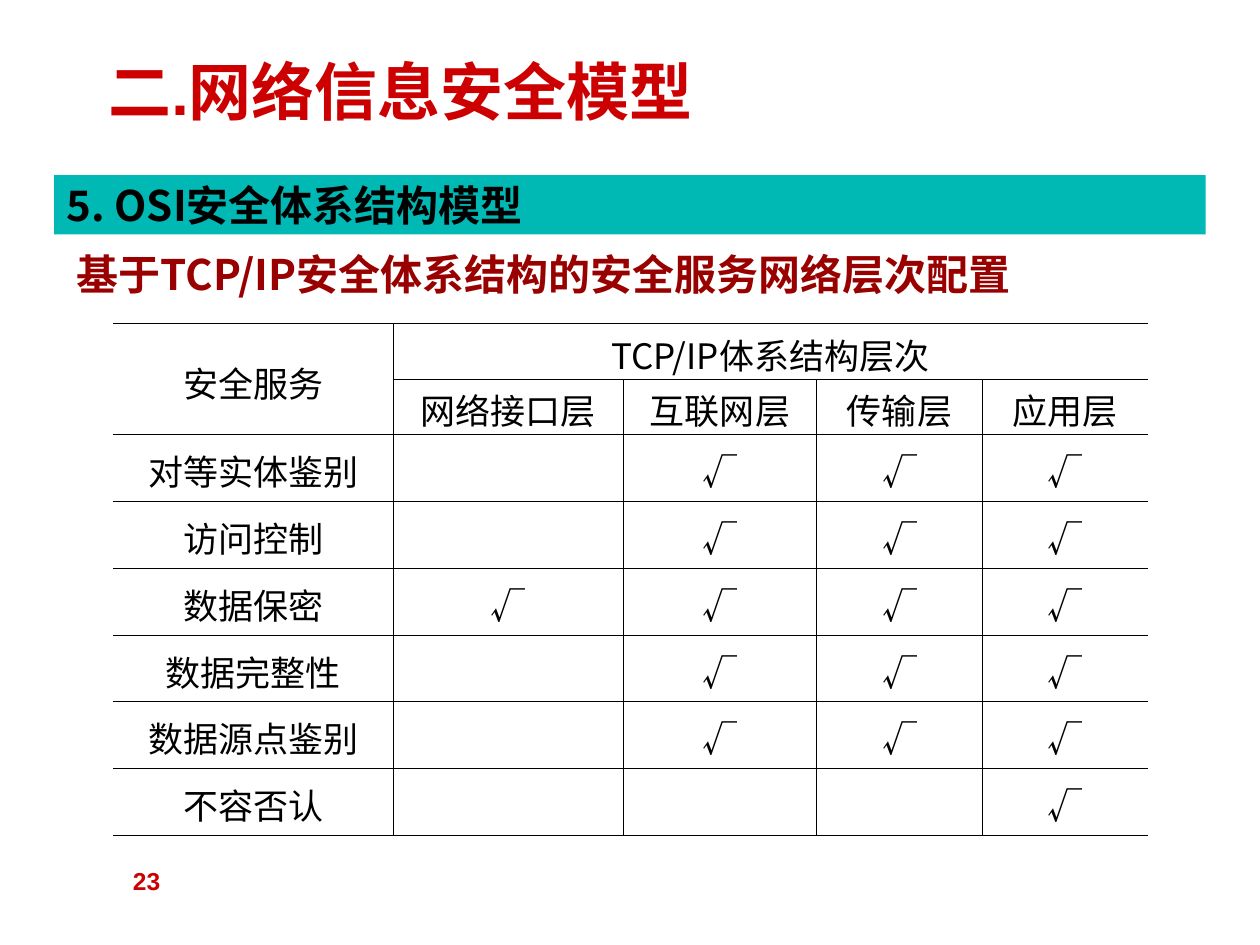
from dataclasses import dataclass

from lxml import etree
from pptx import Presentation
from pptx.dml.color import RGBColor
from pptx.enum.shapes import MSO_SHAPE
from pptx.enum.text import MSO_ANCHOR, PP_ALIGN
from pptx.oxml.ns import qn
from pptx.util import Inches, Pt

RECTANGLE = MSO_SHAPE.RECTANGLE
TOP, MIDDLE = MSO_ANCHOR.TOP, MSO_ANCHOR.MIDDLE
LEFT, CENTER, RIGHT = PP_ALIGN.LEFT, PP_ALIGN.CENTER, PP_ALIGN.RIGHT


@dataclass(frozen=True)
class Theme:
    red: str = "CC0000"
    dark_red: str = "990000"
    teal: str = "00B8B4"
    black: str = "000000"
    sans: str = "Arial"
    serif: str = "Times New Roman"
    chinese: str = "Noto Sans CJK SC"
    title_size: int = 36
    heading_size: int = 24
    table_size: int = 20
    number_size: int = 14
    border_width: float = 0.45


def write_text(frame, text, *, size, color, font, east_asian, bold=False, align=LEFT):
    """Fill the first paragraph; text is a string or a list of (text, font) runs."""
    paragraph = frame.paragraphs[0]
    paragraph.alignment = align
    runs = [(text, font)] if isinstance(text, str) else text
    for words, run_font in runs:
        run = paragraph.add_run()
        run.text = words
        run.font.size = Pt(size)
        run.font.bold = bold
        run.font.color.rgb = RGBColor.from_string(color)
        run.font.name = run_font
        etree.SubElement(run.font._element, qn("a:ea"), typeface=east_asian)


def draw_borders(cell, sides, color, width):
    """Line the named sides (L, R, T, B) of a cell and clear the others."""
    properties = cell._tc.get_or_add_tcPr()
    for side in "LRTB":
        line = etree.SubElement(properties, qn(f"a:ln{side}"), w=str(Pt(width)))
        if side in sides:
            fill = etree.SubElement(line, qn("a:solidFill"))
            etree.SubElement(fill, qn("a:srgbClr"), val=color)
        else:
            etree.SubElement(line, qn("a:noFill"))


class SlideBuilder:
    def __init__(self, slide, theme):
        self.slide = slide
        self.theme = theme

    def fill_frame(self, shape, text, anchor, **text_format):
        frame = shape.text_frame
        frame.word_wrap = True
        frame.vertical_anchor = anchor
        write_text(frame, text, east_asian=self.theme.chinese, bold=True, **text_format)

    def title(self, text, left, top, width, height, **text_format):
        shape = self.slide.shapes.title
        shape.left, shape.top = Inches(left), Inches(top)
        shape.width, shape.height = Inches(width), Inches(height)
        self.fill_frame(shape, text, MIDDLE, **text_format)

    def text_box(self, text, left, top, width, height, **text_format):
        shape = self.slide.shapes.add_textbox(
            Inches(left), Inches(top), Inches(width), Inches(height))
        self.fill_frame(shape, text, TOP, **text_format)

    def banner(self, text, left, top, width, height, fill, **text_format):
        shape = self.slide.shapes.add_shape(
            RECTANGLE, Inches(left), Inches(top), Inches(width), Inches(height))
        shape.shadow.inherit = False
        shape.fill.solid()
        shape.fill.fore_color.rgb = RGBColor.from_string(fill)
        shape.line.fill.background()
        self.fill_frame(shape, text, MIDDLE, **text_format)

    def table(self, rows, left, top, column_widths, row_heights, merges):
        """Add a ruled table, open at its left and right edges."""
        table = self.slide.shapes.add_table(
            len(rows), len(column_widths), Inches(left), Inches(top),
            Inches(sum(column_widths)), Inches(sum(row_heights))).table
        table.first_row = table.horz_banding = False
        for column, width in zip(table.columns, column_widths):
            column.width = Inches(width)
        for row, height in zip(table.rows, row_heights):
            row.height = Inches(height)
        for first, last in merges:
            table.cell(*first).merge(table.cell(*last))
        for row_index, row in enumerate(rows):
            for column_index, text in enumerate(row):
                cell = table.cell(row_index, column_index)
                end = column_index + cell.span_width
                sides = "TB" + "L" * (column_index > 0) + "R" * (end < len(row))
                self.table_cell(cell, text, sides)

    def table_cell(self, cell, text, sides):
        theme = self.theme
        draw_borders(cell, sides, theme.black, theme.border_width)
        cell.fill.background()
        cell.vertical_anchor = MIDDLE
        cell.margin_left = cell.margin_right = Inches(0.08)
        cell.margin_top, cell.margin_bottom = Inches(0.04), Inches(0)
        if text:
            font = theme.chinese if text == "√" else theme.serif
            write_text(cell.text_frame, text, size=theme.table_size, color=theme.black,
                       font=font, east_asian=theme.chinese, align=CENTER)


def main():
    theme = Theme()
    presentation = Presentation()
    presentation.slide_width, presentation.slide_height = Inches(10), Inches(7.5)
    title_only = presentation.slide_layouts[5]
    builder = SlideBuilder(presentation.slides.add_slide(title_only), theme)

    builder.text_box("23", 0.27, 6.82, 1.1, 0.52, size=theme.number_size,
                     color=theme.red, font=theme.sans, align=RIGHT)
    builder.banner("5. OSI安全体系结构模型", 0.43, 1.39, 9.14, 0.47, theme.teal,
                   size=theme.heading_size, color=theme.black, font=theme.chinese)
    builder.title("二.网络信息安全模型", 0.76, 0.21, 5.42, 1.02,
                  size=theme.title_size, color=theme.red, font=theme.sans)
    builder.text_box("基于TCP/IP安全体系结构的安全服务网络层次配置", 0.51, 1.92, 8.83, 0.5,
                     size=theme.heading_size, color=theme.dark_red, font=theme.chinese)

    layers = ["网络接口层", "互联网层", "传输层", "应用层"]
    service_layers = {
        "对等实体鉴别": layers[1:],
        "访问控制": layers[1:],
        "数据保密": layers,
        "数据完整性": layers[1:],
        "数据源点鉴别": layers[1:],
        "不容否认": layers[3:],
    }
    layer_heading = [("TCP/IP", theme.chinese), ("体系结构层次", theme.serif)]
    rows = [["安全服务", layer_heading, "", "", ""], ["", *layers]]
    for service, supported in service_layers.items():
        rows.append([service] + ["√" if layer in supported else "" for layer in layers])
    builder.table(rows, 0.9, 2.57,
                  column_widths=[2.22, 1.83, 1.53, 1.32, 1.31],
                  row_heights=[0.44] * 2 + [0.53] * len(service_layers),
                  merges=[((0, 0), (1, 0)), ((0, 1), (0, 4))])
    presentation.save("out.pptx")


if __name__ == "__main__":
    main()
